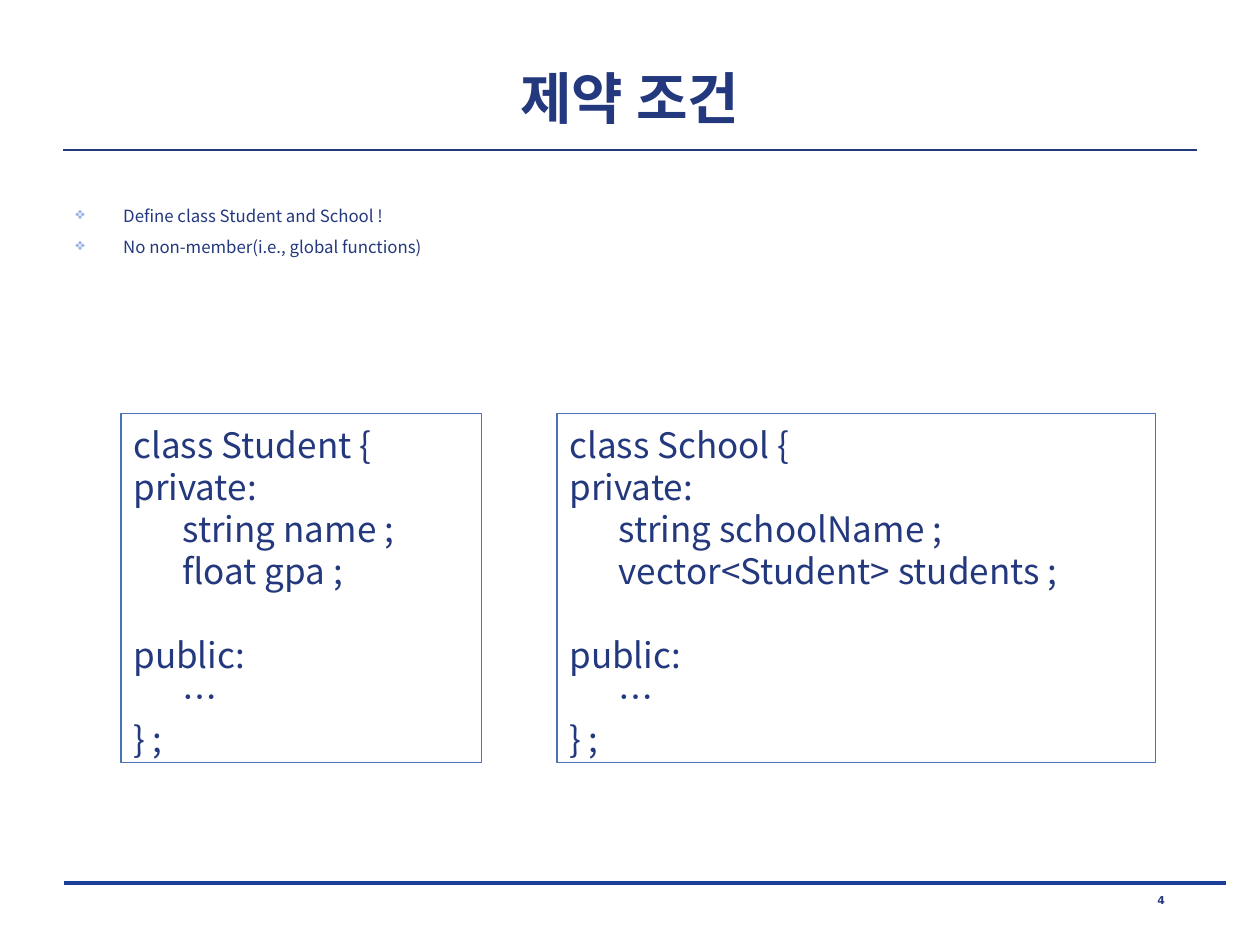
import dataclasses
import pptx
import pptx.dml.color
import pptx.enum.shapes
import pptx.enum.text
import pptx.oxml.ns
import pptx.util
from lxml import etree

Inches = pptx.util.Inches
Pt = pptx.util.Pt
Align = pptx.enum.text.PP_ALIGN
Anchor = pptx.enum.text.MSO_ANCHOR
qn = pptx.oxml.ns.qn


@dataclasses.dataclass(frozen=True)
class Theme:
    navy: str = "23387D"
    foot: str = "1A3D97"
    edge: str = "4972BB"
    mark: str = "96B1E6"
    sans: str = "Noto Sans CJK KR"
    digit: str = "DejaVu Sans"
    title: float = 32
    body: float = 9.6
    code: float = 20
    page: float = 6.2


THEME = Theme()
CODE = {"line_spacing": Pt(24)}


def color(code):
    return pptx.dml.color.RGBColor.from_string(code)


def apply(item, form):
    for name, value in form.items():
        setattr(item, name, value)


def write(para, text, size, face=THEME.sans, bold=False, form=None):
    apply(para, form or {})
    run = para.add_run()
    run.text = text
    apply(run.font, {"size": Pt(size), "name": face, "bold": bold})
    run.font.color.rgb = color(THEME.navy)
    east = etree.SubElement(run.font._element, qn("a:ea"))
    east.set("typeface", face)


def paras(frame, count):
    return [frame.paragraphs[0]] + [frame.add_paragraph() for _ in range(count - 1)]


def add_box(slide, place, form=None):
    frame = slide.shapes.add_textbox(*map(Inches, place)).text_frame
    apply(frame, {"word_wrap": True, **(form or {})})
    return frame


def add_rule(slide, left, right, top, tint, width):
    line = slide.shapes.add_connector(
        pptx.enum.shapes.MSO_CONNECTOR.STRAIGHT,
        Inches(left), Inches(top), Inches(right), Inches(top))
    line.line.color.rgb = color(tint)
    line.line.width = Pt(width)
    etree.SubElement(line._element.spPr, qn("a:effectLst"))


def add_list(slide, place, items):
    frame = add_box(slide, place)
    for i, (para, text) in enumerate(zip(paras(frame, len(items)), items)):
        props = para._p.get_or_add_pPr()
        apply_indent = {"marL": Inches(0.38), "indent": -Inches(0.38)}
        for name, value in apply_indent.items():
            props.set(name, str(value))
        tint = etree.SubElement(props, qn("a:buClr"))
        etree.SubElement(tint, qn("a:srgbClr")).set("val", THEME.mark)
        etree.SubElement(props, qn("a:buChar")).set("char", "❖")
        form = {"line_spacing": Pt(11.7), "space_before": Pt(6 if i else 0)}
        write(para, text, THEME.body, form=form)


def add_class(slide, left, width, name, fields):
    shape = slide.shapes.add_shape(
        pptx.enum.shapes.MSO_SHAPE.RECTANGLE,
        Inches(left), Inches(3.28), Inches(width), Inches(2.77))
    shape.shadow.inherit = False
    shape.fill.background()
    shape.line.color.rgb = color(THEME.edge)
    shape.line.width = Pt(0.75)
    frame = shape.text_frame
    apply(frame, {"word_wrap": True, "vertical_anchor": Anchor.TOP,
                  "margin_top": Inches(0.08), "margin_bottom": Inches(0.02)})
    lines = [f"class {name} {{", "private:", *(f"\t{field} ;" for field in fields),
             "public:", "\t…", "} ;"]
    for para, text in zip(paras(frame, len(lines)), lines):
        tabs = etree.SubElement(para._p.get_or_add_pPr(), qn("a:tabLst"))
        stop = etree.SubElement(tabs, qn("a:tab"))
        stop.set("pos", str(Inches(0.39)))
        stop.set("algn", "l")
        gap = {"space_before": Pt(24)} if text == "public:" else {}
        write(para, text, THEME.code, form={"alignment": Align.LEFT, **CODE, **gap})


def main():
    deck = pptx.Presentation()
    apply(deck, {"slide_width": Inches(10), "slide_height": Inches(7.5)})
    slide = deck.slides.add_slide(deck.slide_layouts[6])
    add_rule(slide, 0.51, 9.73, 7.01, THEME.foot, 0)
    add_rule(slide, 0.5, 9.5, 1.19, THEME.navy, 0.75)
    title = add_box(slide, (0.5, 0.35, 9, 0.84), {"vertical_anchor": Anchor.MIDDLE})
    write(title.paragraphs[0], "제약 조건", THEME.title, bold=True,
          form={"alignment": Align.CENTER})
    add_list(slide, (0.5, 1.58, 9, 0.53), [
        "Define class Student and School !",
        "No non-member(i.e., global functions)"])
    page = add_box(slide, (8.07, 7.06, 2.29, 0.24))
    write(page.paragraphs[0], "4", THEME.page, THEME.digit, True,
          {"alignment": Align.CENTER, "line_spacing": 0.8})
    add_class(slide, 0.96, 2.86, "Student", ["string name", "float gpa"])
    add_class(slide, 4.42, 4.75, "School",
              ["string schoolName", "vector<Student> students"])
    deck.save("out.pptx")


if __name__ == "__main__":
    main()
